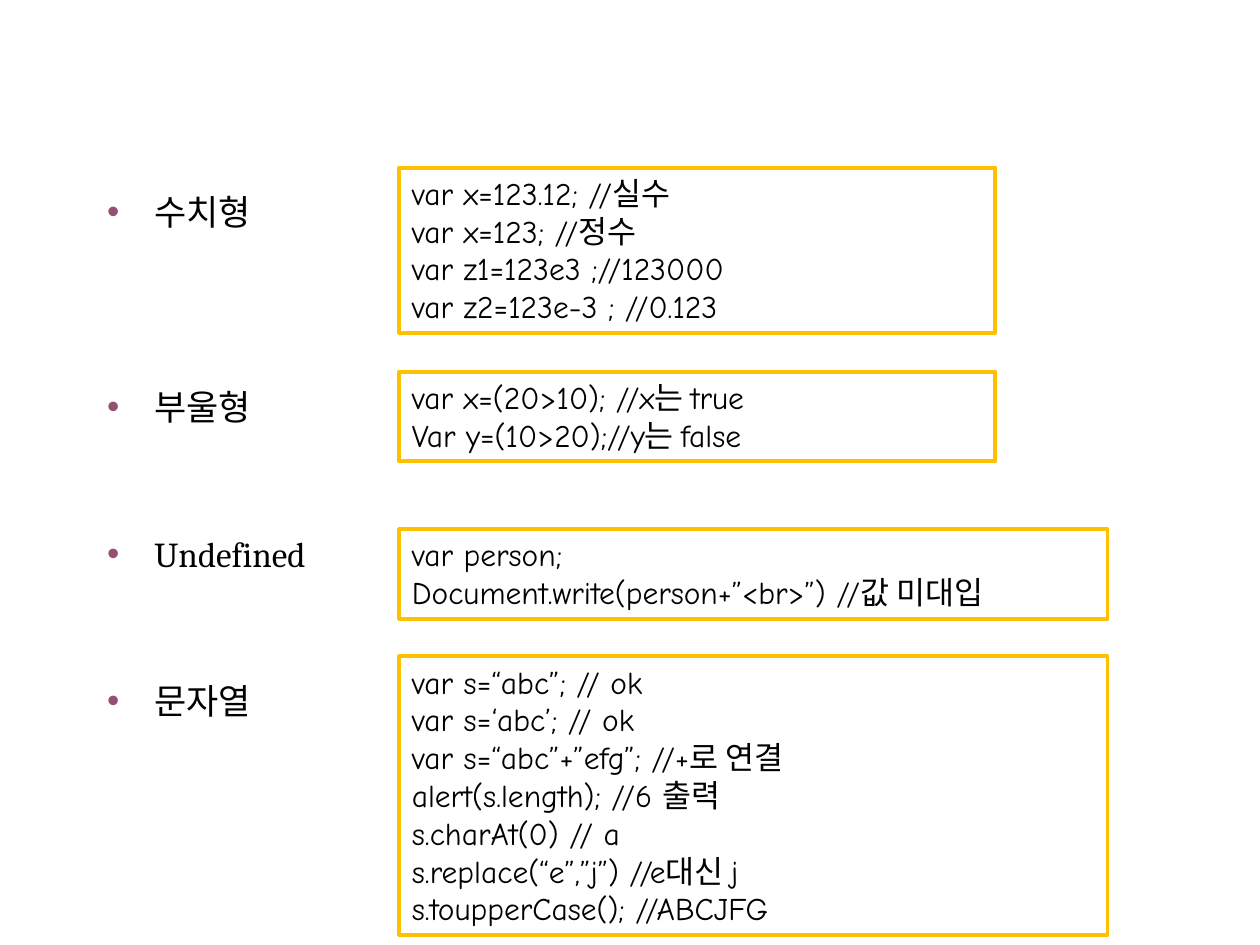
from lxml import etree
from pptx import Presentation
from pptx.dml.color import RGBColor
from pptx.enum.shapes import MSO_SHAPE
from pptx.enum.text import MSO_ANCHOR, MSO_AUTO_SIZE, PP_ALIGN
from pptx.oxml.ns import qn
from pptx.util import Inches, Pt

RECTANGLE = MSO_SHAPE.RECTANGLE
TOP = MSO_ANCHOR.TOP
LEFT = PP_ALIGN.LEFT
NO_AUTOFIT = MSO_AUTO_SIZE.NONE
FIT_SHAPE = MSO_AUTO_SIZE.SHAPE_TO_FIT_TEXT

THEME = {
    "text": RGBColor.from_string("000000"),
    "fill": RGBColor.from_string("FFFFFF"),
    "border": RGBColor.from_string("FFC000"),
    "bullet": "954F72",
    "label_font": "Cambria",
    "code_font": "Comic Neue",
    "label_size": 20,
    "code_size": 18,
    "border_width": 2.25,
}

LABEL_AREA = (0.75, 1.46, 2.23, 5.57)
LABEL_LINE = 24
CODE_LEFT = 3.17
CODE_LINE = 0.3
CODE_PADDING = 0.11

DATA_TYPES = [
    {"label": "수치형", "space": 2, "top": 1.33, "width": 4.73, "code": [
        "var x=123.12; //실수",
        "var x=123; //정수",
        "var z1=123e3 ;//123000",
        "var z2=123e-3 ; //0.123",
    ]},
    {"label": "부울형", "space": 87.4, "top": 2.95, "width": 4.73, "code": [
        "var x=(20>10); //x는 true",
        "Var y=(10>20);//y는 false",
    ]},
    {"label": "Undefined", "space": 60, "top": 4.2, "width": 5.62, "code": [
        "var person;",
        "Document.write(person+”<br>”) //값 미대입",
    ]},
    {"label": "문자열", "space": 60, "top": 5.21, "width": 5.62, "code": [
        "var s=“abc”; // ok",
        "var s=‘abc’; // ok",
        "var s=“abc”+”efg”; //+로 연결",
        "alert(s.length); //6 출력",
        "s.charAt(0) // a",
        "s.replace(“e”,”j”) //e대신 j",
        "s.toupperCase(); //ABCJFG",
    ]},
]


def add_lines(text_frame, lines, kind):
    for index, line in enumerate(lines):
        paragraph = text_frame.paragraphs[0] if index == 0 else text_frame.add_paragraph()
        paragraph.alignment = LEFT
        run = paragraph.add_run()
        run.text = line
        run.font.name = THEME[kind + "_font"]
        run.font.size = Pt(THEME[kind + "_size"])
        run.font.color.rgb = THEME["text"]


def color_bullet(paragraph):
    properties = paragraph._p.get_or_add_pPr()
    bullet_color = etree.SubElement(properties, qn("a:buClr"))
    etree.SubElement(bullet_color, qn("a:srgbClr"), val=THEME["bullet"])


def add_labels(body):
    body.left, body.top, body.width, body.height = map(Inches, LABEL_AREA)
    text_frame = body.text_frame
    text_frame.auto_size = NO_AUTOFIT
    text_frame.vertical_anchor = TOP
    add_lines(text_frame, [item["label"] for item in DATA_TYPES], "label")
    for paragraph, item in zip(text_frame.paragraphs, DATA_TYPES):
        paragraph.line_spacing = Pt(LABEL_LINE)
        paragraph.space_before = Pt(item["space"])
        color_bullet(paragraph)


def add_code_box(slide, item):
    height = len(item["code"]) * CODE_LINE + CODE_PADDING
    shape = slide.shapes.add_shape(
        RECTANGLE, Inches(CODE_LEFT), Inches(item["top"]), Inches(item["width"]), Inches(height))
    shape.shadow.inherit = False
    shape.fill.solid()
    shape.fill.fore_color.rgb = THEME["fill"]
    shape.line.color.rgb = THEME["border"]
    shape.line.width = Pt(THEME["border_width"])
    text_frame = shape.text_frame
    text_frame.word_wrap = True
    text_frame.auto_size = FIT_SHAPE
    text_frame.vertical_anchor = TOP
    add_lines(text_frame, item["code"], "code")


def main():
    presentation = Presentation()
    presentation.slide_width = Inches(10)
    presentation.slide_height = Inches(7.5)
    slide = presentation.slides.add_slide(presentation.slide_layouts[1])
    title = slide.shapes.title
    title.element.getparent().remove(title.element)
    add_labels(slide.placeholders[1])
    for item in DATA_TYPES:
        add_code_box(slide, item)
    presentation.save("out.pptx")


if __name__ == "__main__":
    main()
